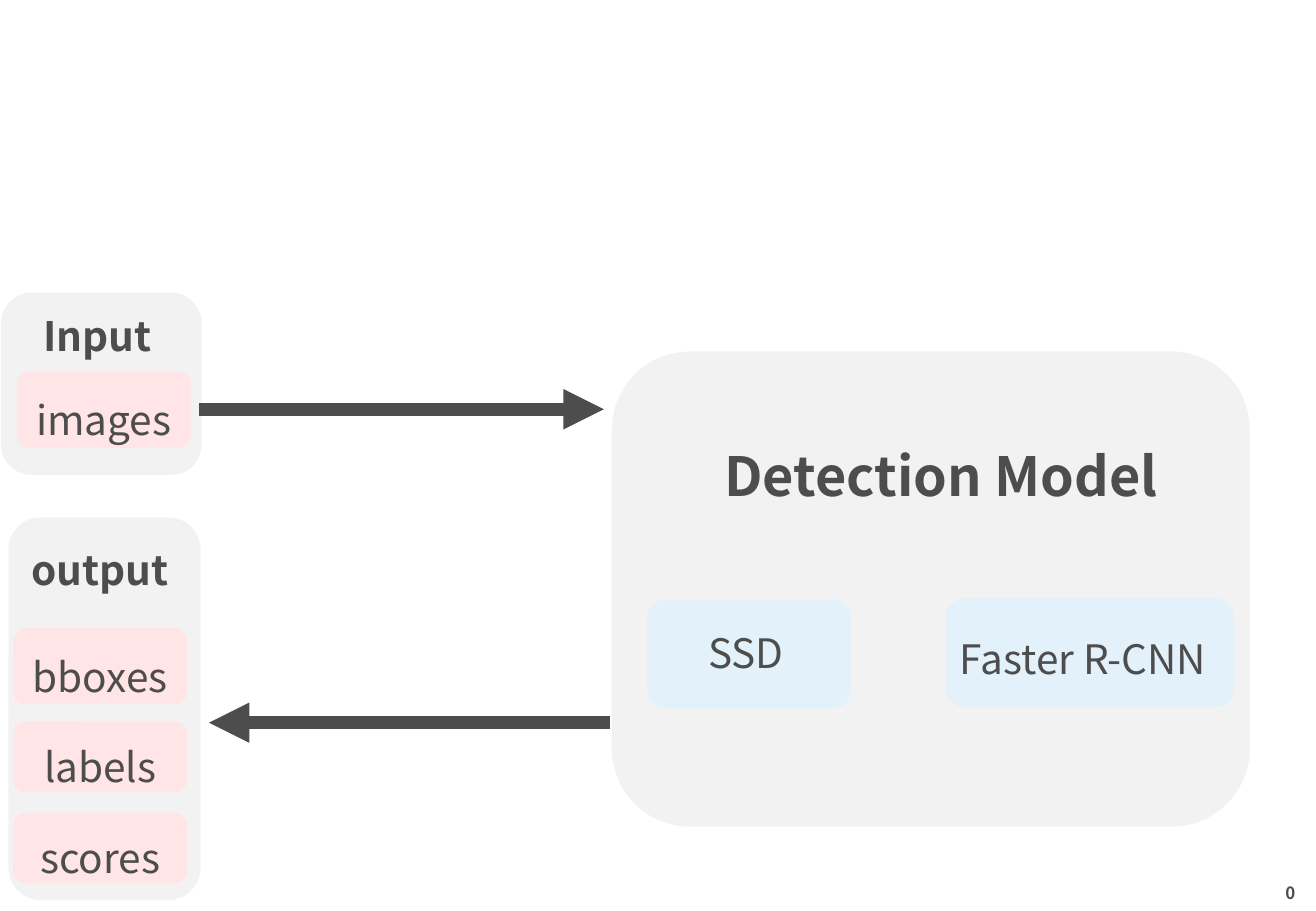
from lxml import etree
from pptx import Presentation
from pptx import util as u
from pptx.dml.color import RGBColor
from pptx.enum import shapes, text
from pptx.oxml.ns import qn

FONT = "Noto Sans CJK JP"
INK = RGBColor(0x4D, 0x4D, 0x4D)
PANEL = RGBColor(0xF2, 0xF2, 0xF2)
PINK = RGBColor(0xFF, 0xE5, 0xE5)
BLUE = RGBColor(0xE2, 0xF1, 0xFA)
WHITE = RGBColor(0xFF, 0xFF, 0xFF)
CENTER = text.PP_ALIGN.CENTER
RIGHT = text.PP_ALIGN.RIGHT
MIDDLE = text.MSO_ANCHOR.MIDDLE


class Diagram:
    def __init__(self, slide):
        self.s = slide

    def set_text(self, sp, words, size=24, bold=False, align=None):
        p = sp.text_frame.paragraphs[0]
        p.text = words
        p.alignment = align
        font = p.runs[0].font
        font.name, font.size, font.bold = FONT, u.Pt(size), bold
        font.color.rgb = INK
        return p

    def center_in_box(self, sp):
        tf = sp.text_frame
        tf.word_wrap = True
        tf.vertical_anchor = MIDDLE
        tf.margin_left = tf.margin_top = tf.margin_right = tf.margin_bottom = 0

    def box(self, x, y, w, h, fill, line=None):
        sp = self.s.shapes.add_shape(
            shapes.MSO_SHAPE.ROUNDED_RECTANGLE, *map(u.Inches, (x, y, w, h)))
        sp.shadow.inherit = False
        sp.fill.solid()
        sp.fill.fore_color.rgb = fill
        if line is None:
            sp.line.fill.background()
        else:
            sp.line.color.rgb = line
            sp.line.width = u.Pt(2)
        return sp

    def field(self, x, y, h, words):
        sp = self.box(x, y, 1.43, h, PINK)
        self.center_in_box(sp)
        p = self.set_text(sp, words, align=CENTER)
        p.line_spacing = 1.4
        p.space_after = u.Pt(6)

    def label(self, x, y, w, h, words, wrap=False, **style):
        sp = self.s.shapes.add_textbox(*map(u.Inches, (x, y, w, h)))
        sp.text_frame.word_wrap = wrap
        self.set_text(sp, words, **style)
        return sp

    def arrow(self, x1, x2, y):
        c = self.s.shapes.add_connector(
            shapes.MSO_CONNECTOR.STRAIGHT, *map(u.Inches, (x1, y, x2, y)))
        c.line.color.rgb = INK
        c.line.width = u.Pt(8)
        props = c.element.spPr
        etree.SubElement(props.find(qn("a:ln")), qn("a:tailEnd"), type="triangle")
        etree.SubElement(props, qn("a:effectLst"))


def main():
    prs = Presentation()
    prs.slide_width, prs.slide_height = u.Inches(10.83), u.Inches(7.5)
    d = Diagram(prs.slides.add_slide(prs.slide_layouts[6]))

    d.box(0.01, 2.41, 1.65, 1.5, PANEL)
    d.box(0.07, 4.26, 1.58, 3.15, PANEL)
    number = d.label(8.13, 7.21, 2.53, 0.28, "0", size=10, bold=True, align=RIGHT)
    d.center_in_box(number)

    d.box(5.02, 2.88, 5.28, 3.94, PANEL, WHITE)
    d.label(5.06, 3.59, 5.37, 0.64, "Detection Model",
            wrap=True, size=32, bold=True, align=CENTER)
    d.box(5.34, 4.95, 1.65, 0.87, BLUE, BLUE)
    d.box(7.8, 4.94, 2.34, 0.87, BLUE, BLUE)
    d.label(5.73, 5.12, 0.88, 0.5, "SSD")
    d.label(7.8, 5.17, 2.41, 0.5, "Faster R-CNN")

    d.arrow(1.64, 4.97, 3.37)
    d.arrow(5.02, 1.72, 5.95)

    for x, y, h, words in ((0.14, 3.06, 0.63, "images"),
                           (0.11, 5.17, 0.63, "bboxes"),
                           (0.11, 5.94, 0.58, "labels"),
                           (0.11, 6.69, 0.58, "scores")):
        d.field(x, y, h, words)
    d.label(0.16, 4.44, 1.39, 0.5, "output", bold=True)
    d.label(0.26, 2.51, 1.2, 0.5, "Input", bold=True)

    prs.save("out.pptx")


if __name__ == "__main__":
    main()
